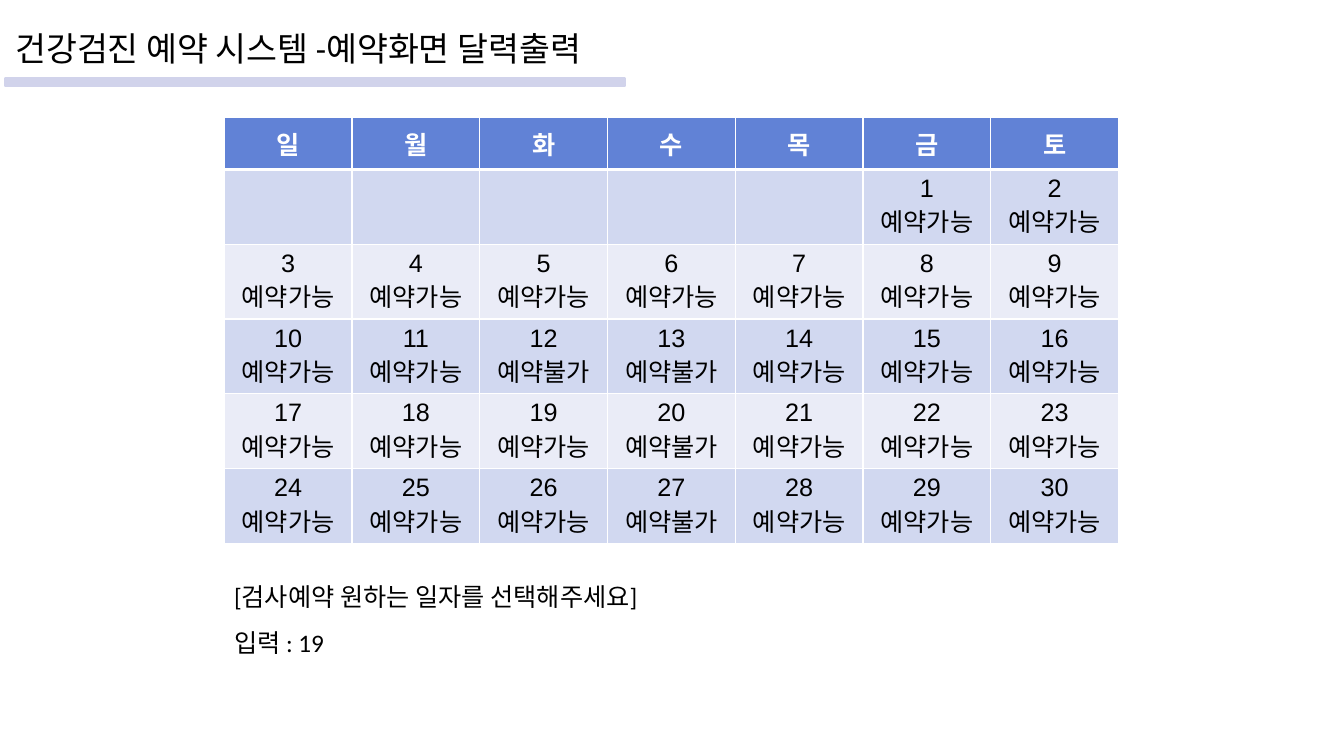
from dataclasses import dataclass

from lxml import etree
from pptx import Presentation
from pptx.dml.color import RGBColor
from pptx.enum import shapes, text
from pptx.oxml import ns
from pptx.util import Cm, Pt


@dataclass(frozen=True)
class Theme:
    ink: str = "000000"
    white: str = "FFFFFF"
    header: str = "6182D6"
    bands: tuple[str, str] = ("D1D8F0", "EAECF7")
    rule: str = "D1D3EB"
    text_font: str = "Calibri"
    table_font: str = "Arial"
    title_size: int = 24
    body_size: int = 18
    thin: int = 1
    thick: int = 3


@dataclass(frozen=True)
class Day:
    number: int
    status: str


THEME = Theme()
WEEKDAYS = "일월화수목금토"
FULL_DAYS = {12, 13, 20, 27}
FIRST_COLUMN = 5  # the month starts on a Friday
DAYS = [Day(n, "예약불가" if n in FULL_DAYS else "예약가능") for n in range(1, 31)]
WEEKS = (FIRST_COLUMN + len(DAYS)) // len(WEEKDAYS)


def add_run(paragraph, wording: str, font: str, size: int,
            color: str = THEME.ink, bold: bool = False) -> None:
    run = paragraph.add_run()
    run.text = wording
    run.font.name = font
    run.font.size = Pt(size)
    run.font.bold = bold
    run.font.color.rgb = RGBColor.from_string(color)


def add_lines(frame, lines: list[str], font: str, size: int, align,
              spacing: float = 1.0, color: str = THEME.ink, bold: bool = False) -> None:
    """Write one paragraph for each line, starting with the empty first one."""
    for index, line in enumerate(lines):
        paragraph = frame.add_paragraph() if index else frame.paragraphs[0]
        paragraph.alignment = align
        paragraph.line_spacing = spacing
        add_run(paragraph, line, font, size, color, bold)


def set_borders(cell, top: int, bottom: int) -> None:
    """Draw white cell edges; this must come before the cell's fill."""
    properties = cell._tc.get_or_add_tcPr()
    widths = {"L": THEME.thin, "R": THEME.thin, "T": top, "B": bottom}
    for side, width in widths.items():
        edge = etree.SubElement(properties, ns.qn(f"a:ln{side}"), w=str(Pt(width)))
        fill = etree.SubElement(edge, ns.qn("a:solidFill"))
        etree.SubElement(fill, ns.qn("a:srgbClr"), val=THEME.white)


def style_cell(cell, fill: str, top: int, bottom: int) -> None:
    set_borders(cell, top, bottom)
    cell.fill.solid()
    cell.fill.fore_color.rgb = RGBColor.from_string(fill)
    cell.vertical_anchor = text.MSO_ANCHOR.MIDDLE


def add_title(slide) -> None:
    title = slide.shapes.title
    title.left, title.top, title.width, title.height = Cm(0.13), Cm(0.61), Cm(16.26), Cm(1.35)
    frame = title.text_frame
    frame.auto_size = text.MSO_AUTO_SIZE.NONE
    frame.vertical_anchor = text.MSO_ANCHOR.MIDDLE
    add_lines(frame, ["건강검진 예약 시스템 -예약화면 달력출력"], THEME.text_font,
              THEME.title_size, text.PP_ALIGN.LEFT, spacing=0.9)


def add_calendar(slide) -> None:
    column, row = Cm(3.22), Cm(1.3)
    calendar = slide.shapes.add_table(
        WEEKS + 1, len(WEEKDAYS), Cm(5.65), Cm(2.97),
        column * len(WEEKDAYS), row * (WEEKS + 1)).table
    for index, weekday in enumerate(WEEKDAYS):
        head = calendar.cell(0, index)
        style_cell(head, THEME.header, THEME.thin, THEME.thick)
        add_lines(head.text_frame, [weekday], THEME.table_font, THEME.body_size,
                  text.PP_ALIGN.CENTER, color=THEME.white, bold=True)
    for week in range(WEEKS):
        top = THEME.thin if week else THEME.thick
        for index in range(len(WEEKDAYS)):
            style_cell(calendar.cell(week + 1, index), THEME.bands[week % 2], top, THEME.thin)
    for position, day in enumerate(DAYS, FIRST_COLUMN):
        week, index = divmod(position, len(WEEKDAYS))
        add_lines(calendar.cell(week + 1, index).text_frame, [str(day.number), day.status],
                  THEME.table_font, THEME.body_size, text.PP_ALIGN.CENTER)


def add_prompt(slide) -> None:
    prompt = slide.shapes.add_textbox(Cm(5.65), Cm(14.15), Cm(17.75), Cm(2.18)).text_frame
    prompt.word_wrap = True
    prompt.auto_size = text.MSO_AUTO_SIZE.SHAPE_TO_FIT_TEXT
    add_lines(prompt, ["[검사예약 원하는 일자를 선택해주세요]", "입력 : 19"],
              THEME.text_font, THEME.body_size, text.PP_ALIGN.LEFT, spacing=1.5)


def add_title_rule(slide) -> None:
    rule = slide.shapes.add_shape(shapes.MSO_SHAPE.FLOWCHART_PROCESS,
                                  Cm(0.13), Cm(1.98), Cm(15.62), Cm(0.18))
    rule.shadow.inherit = False
    rule.fill.solid()
    rule.fill.fore_color.rgb = RGBColor.from_string(THEME.rule)
    rule.line.color.rgb = RGBColor.from_string(THEME.rule)
    rule.line.width = Pt(1.5)


def main() -> None:
    deck = Presentation()
    deck.slide_width, deck.slide_height = Cm(33.87), Cm(19.05)
    slide = deck.slides.add_slide(deck.slide_layouts.get_by_name("Title Only"))
    add_title(slide)
    add_calendar(slide)
    add_prompt(slide)
    add_title_rule(slide)
    deck.save("out.pptx")


if __name__ == "__main__":
    main()
